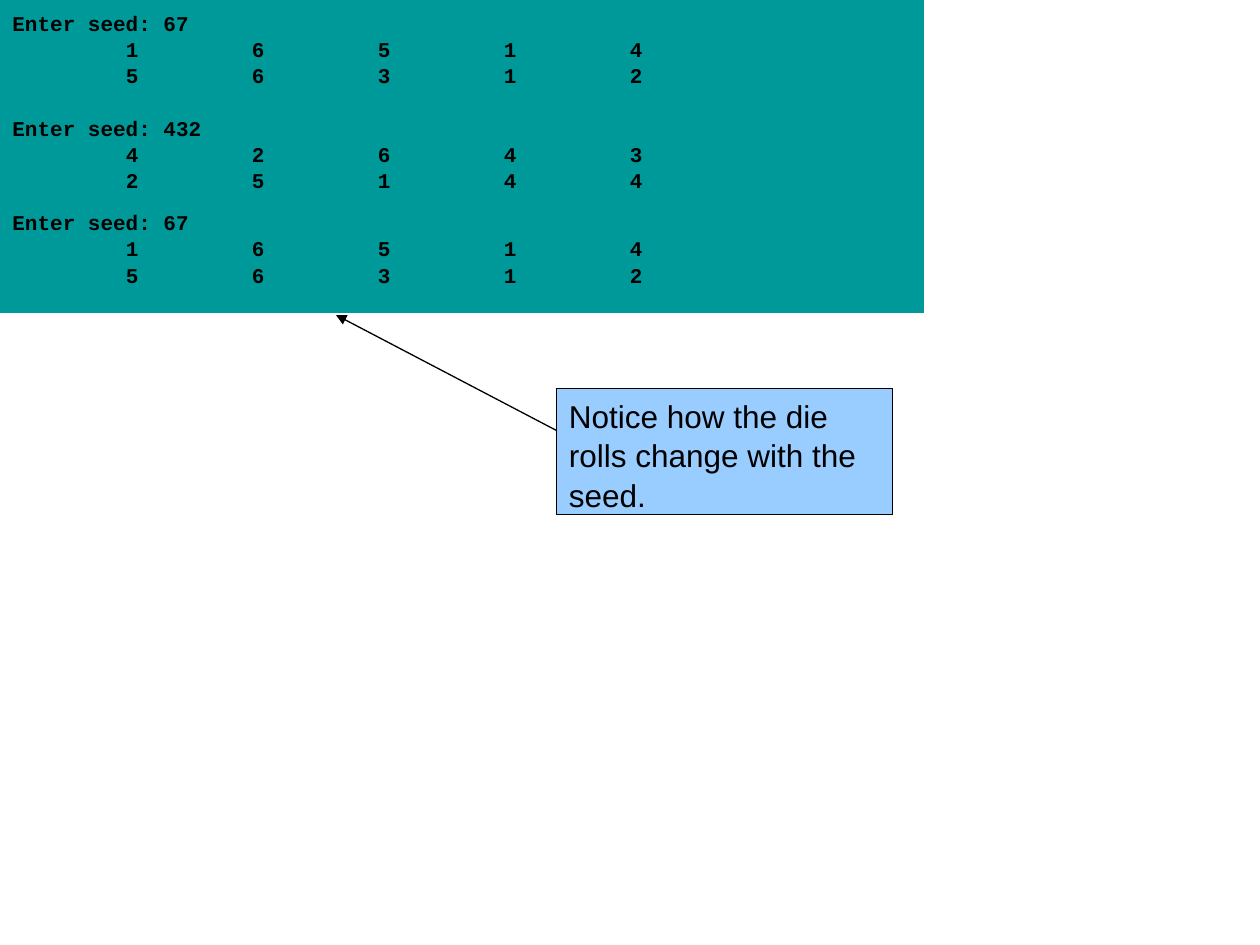
import pptx
import pptx.dml.color
import pptx.enum.shapes
import pptx.enum.text
import pptx.oxml
import pptx.oxml.ns
import pptx.util

theme = {
    "console": "009999", "note": "99CCFF", "ink": "000000",
    "console_font": "Courier New", "note_font": "Arial",
    "console_size": 12, "note_size": 18,
    "line_width": 0.75, "line_spacing": 1.05,
}

deck = pptx.Presentation()
deck.slide_width = pptx.util.Inches(10)
deck.slide_height = pptx.util.Inches(7.5)
page = deck.slides.add_slide(deck.slide_layouts[6])
unit = deck.slide_width / 120


def color(name):
    return pptx.dml.color.RGBColor.from_string(theme[name])


def add_text_box(text, *, area, fill, font, size, bold=False, border=False, top_inset=0.05, tab_stops=()):
    box = page.shapes.add_shape(
        pptx.enum.shapes.MSO_SHAPE.RECTANGLE, *[round(cells * unit) for cells in area])
    box.shadow.inherit = False
    box.fill.solid()
    box.fill.fore_color.rgb = color(fill)
    if border:
        box.line.color.rgb = color("ink")
        box.line.width = pptx.util.Pt(theme["line_width"])
    else:
        box.line.fill.background()
    frame = box.text_frame
    frame.word_wrap = True
    frame.vertical_anchor = pptx.enum.text.MSO_ANCHOR.TOP
    frame.margin_top = pptx.util.Inches(top_inset)
    for index, line in enumerate(text.split("\n")):
        para = frame.paragraphs[0] if index == 0 else frame.add_paragraph()
        para.alignment = pptx.enum.text.PP_ALIGN.LEFT
        para.line_spacing = theme["line_spacing"]
        if tab_stops:
            stops = pptx.oxml.parse_xml(f'<a:tabLst {pptx.oxml.ns.nsdecls("a")}/>')
            for stop in tab_stops:
                tab = stops.makeelement(pptx.oxml.ns.qn("a:tab"), {"pos": str(stop), "algn": "r"})
                stops.append(tab)
            para._p.get_or_add_pPr().append(stops)
        span = para.add_run()
        span.text = line
        span.font.name = theme[font]
        span.font.size = pptx.util.Pt(theme[size])
        span.font.bold = bold
        span.font.color.rgb = color("ink")


sessions = [
    (0, 67, ["16514", "56312"]),
    (10, 432, ["42643", "25144"]),
    (19, 67, ["16514", "56312"]),
]
roll_stops = [pptx.util.Inches(column) for column in range(1, 6)]

for top, seed, rolls in sessions:
    lines = [f"Enter seed: {seed}"] + ["\t" + "\t".join(row) for row in rolls]
    add_text_box("\n".join(lines), area=(0, top, 88, 10.8), fill="console",
                 font="console_font", size="console_size", bold=True,
                 top_inset=0.07, tab_stops=roll_stops)

add_text_box("Notice how the die rolls change with the seed.", area=(53, 37, 32, 12),
             fill="note", font="note_font", size="note_size", border=True)

arrow = page.shapes.add_connector(
    pptx.enum.shapes.MSO_CONNECTOR.STRAIGHT, *[round(cells * unit) for cells in (53, 41, 32, 30)])
arrow.line.color.rgb = color("ink")
arrow.line.width = pptx.util.Pt(theme["line_width"])
arrow.line._get_or_add_ln().append(
    pptx.oxml.parse_xml(f'<a:tailEnd {pptx.oxml.ns.nsdecls("a")} type="triangle"/>'))
arrow._element.spPr.append(pptx.oxml.parse_xml(f'<a:effectLst {pptx.oxml.ns.nsdecls("a")}/>'))

deck.save("out.pptx")
